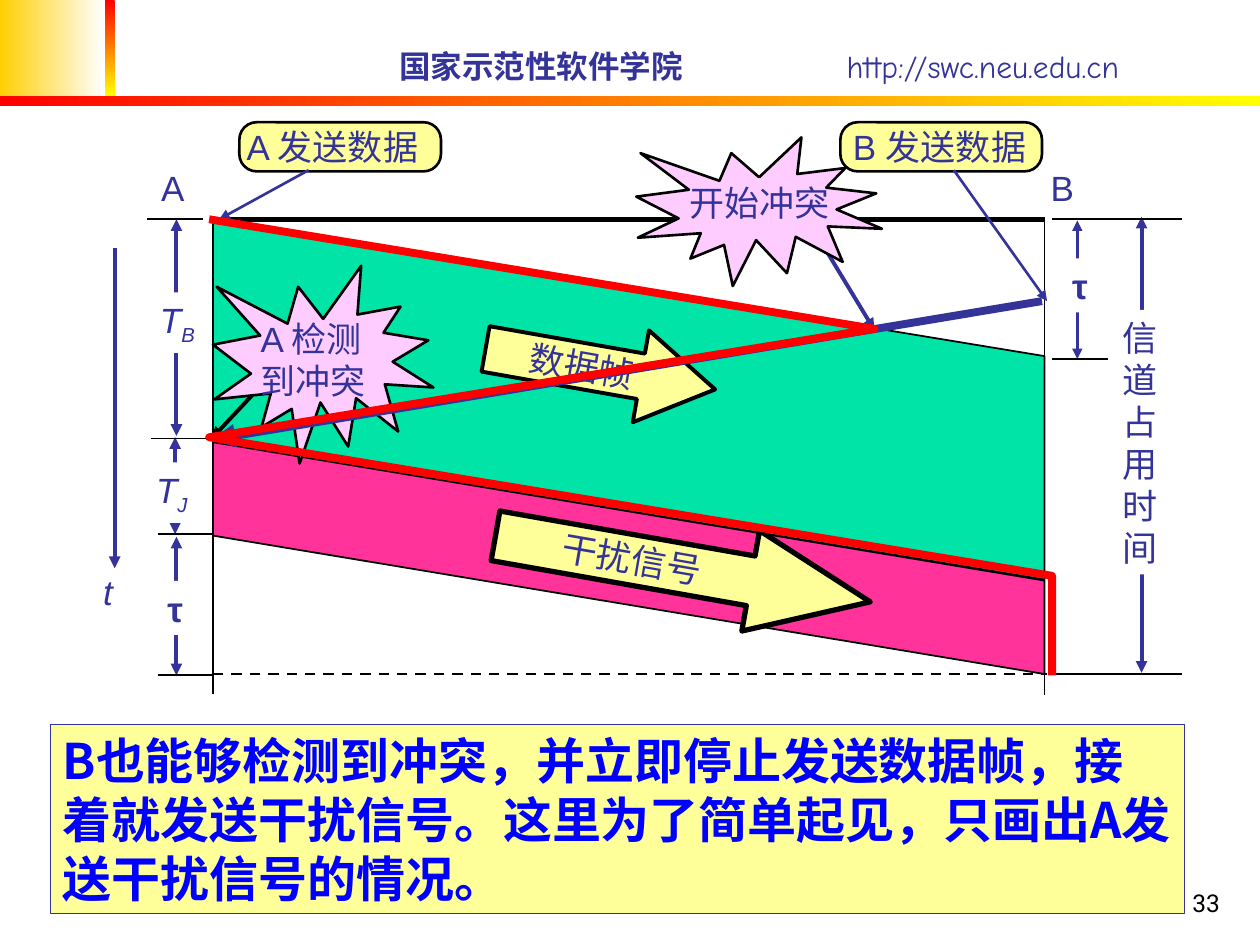
from typing import NamedTuple, Optional

from lxml import etree
from pptx import Presentation
from pptx.dml.color import RGBColor
from pptx.enum.dml import MSO_LINE_DASH_STYLE as Dash
from pptx.enum.shapes import MSO_CONNECTOR as Conn, MSO_SHAPE as Shape
from pptx.enum.text import MSO_ANCHOR as Anchor, MSO_AUTO_SIZE as AutoSize, PP_ALIGN as Align
from pptx.oxml.ns import qn
from pptx.util import Inches, Pt

NAVY, BLACK, WHITE = "333399", "000000", "FFFFFF"
CREAM, PINK, RED, YELLOW = "FFFF99", "FFCCFF", "FF0000", "FFFF00"
LABEL = dict(name="Arial", size=Pt(20))
ITALIC, BOLD = dict(LABEL, italic=True), dict(LABEL, bold=True)


class Box(NamedTuple):
    x: float
    y: float
    w: float
    h: float


class Line(NamedTuple):
    x1: float
    y1: float
    x2: float
    y2: float
    color: str = BLACK
    width: float = 1
    ends: str = ""  # any of "head", "tail"
    dash: bool = False


class Label(NamedTuple):
    box: Box
    text: str
    font: dict = LABEL
    sub: str = ""
    fill: Optional[str] = None


class Callout(NamedTuple):
    kind: Shape
    box: Box
    fill: str
    pointer: Line
    label: Label
    pointer_behind: bool


def rgb(color: str) -> RGBColor:
    return RGBColor.from_string(color)


def emu(box: Box) -> list:
    return [Inches(v) for v in box]


def draw_shape(s, kind, box: Box, fill=None, line=None, width=1.0, adj=(), rot=0):
    sp = s.shapes.add_shape(kind, *emu(box))
    sp.shadow.inherit = False
    sp.rotation = rot
    for i, value in enumerate(adj):
        sp.adjustments[i] = value
    if fill:
        sp.fill.solid()
        sp.fill.fore_color.rgb = rgb(fill)
    if line:
        sp.line.color.rgb = rgb(line)
        sp.line.width = Pt(width)
    else:
        sp.line.fill.background()
    return sp


def draw_gradient(s, box: Box, colors: tuple, angle: int) -> None:
    sp = draw_shape(s, Shape.RECTANGLE, box)
    sp.fill.gradient()
    sp.fill.gradient_angle = angle
    for stop, color, position in zip(sp.fill.gradient_stops, colors, (0, 1)):
        stop.color.rgb = rgb(color)
        stop.position = position


def draw_line(s, line: Line) -> None:
    cx = s.shapes.add_connector(Conn.STRAIGHT, *emu(Box(*line[:4])))
    cx.line.color.rgb = rgb(line.color)
    cx.line.width = Pt(line.width)
    if line.dash:
        cx.line.dash_style = Dash.DASH
    ln = cx.line._get_or_add_ln()
    for end in ("head", "tail"):
        if end in line.ends:
            etree.SubElement(ln, qn(f"a:{end}End"), type="triangle")
    etree.SubElement(cx._element.spPr, qn("a:effectLst"))


def add_run(p, text: str, font: dict, color: str):
    r = p.add_run()
    r.text = text
    for key, value in font.items():
        setattr(r.font, key, value)
    r.font.color.rgb = rgb(color)
    rPr = r._r.get_or_add_rPr()
    etree.SubElement(rPr, qn("a:ea"), typeface="Noto Sans CJK SC")
    return rPr


def write(sp, text: str, font: dict, color=NAVY, sub="", align=Align.LEFT,
          anchor=Anchor.TOP, wrap=False) -> None:
    tf = sp.text_frame
    tf.word_wrap, tf.vertical_anchor = wrap, anchor
    for i, part in enumerate(text.split("\n")):
        p = tf.add_paragraph() if i else tf.paragraphs[0]
        p.alignment = align
        add_run(p, part, font, color)
    if sub:
        add_run(p, sub, font, color).set("baseline", "-25000")


def draw_label(s, label: Label, rot=0, **options) -> None:
    sp = s.shapes.add_textbox(*emu(label.box))
    sp.rotation = rot
    if label.fill:
        sp.fill.solid()
        sp.fill.fore_color.rgb = rgb(label.fill)
    write(sp, label.text, label.font, sub=label.sub, **options)
    sp.text_frame.auto_size = AutoSize.SHAPE_TO_FIT_TEXT


def draw_callout(s, c: Callout) -> None:
    if c.pointer_behind:
        draw_line(s, c.pointer)
    adj = [0.354] if c.kind == Shape.ROUNDED_RECTANGLE else []
    draw_shape(s, c.kind, c.box, c.fill, BLACK, 1.5, adj)
    draw_label(s, c.label)
    if not c.pointer_behind:
        draw_line(s, c.pointer)


def span(x: float, y1: float, y2: float, width=2.25) -> Line:
    return Line(x, y1, x, y2, NAVY, width, "head tail")


def tick(x: float, y: float, length=0.44) -> Line:
    return Line(x, y, x + length, y)


LINES = [
    # Time spans on the left and right
    span(1.4, 4.26, 5.36), span(1.39, 3.47, 4.24), span(1.4, 1.74, 3.46),
    span(8.55, 1.75, 2.85, 1.5), span(9.06, 1.72, 5.34),
    Line(0.91, 1.97, 0.91, 4.51, NAVY, 2.25, "tail"),
    # Boundary ticks
    tick(1.17, 1.74), tick(1.2, 3.48), tick(1.25, 4.24), tick(1.25, 5.36),
    tick(8.35, 2.85), tick(8.35, 1.74, 1.03), tick(8.38, 5.35, 1),
    # Frame around the channel
    Line(1.71, 1.74, 8.29, 1.74, width=3),
    Line(1.69, 1.75, 1.69, 5.51), Line(8.29, 1.74, 8.29, 5.52),
    Line(1.69, 5.35, 8.31, 5.35, width=1.5, dash=True),
]
LABELS = [
    Label(Box(1.23, 4.61, 0.32, 0.43), "τ", BOLD, fill=WHITE),
    Label(Box(8.41, 2.05, 0.32, 0.43), "τ", BOLD, fill=WHITE),
    Label(Box(1.14, 3.67, 0.45, 0.48), "T", ITALIC, "J", WHITE),
    Label(Box(1.17, 2.32, 0.48, 0.48), "T", ITALIC, "B", WHITE),
    Label(Box(0.72, 4.48, 0.27, 0.44), "t", ITALIC),
    Label(Box(1.18, 1.27, 0.38, 0.43), "A"),
    Label(Box(8.24, 1.27, 0.38, 0.43), "B"),
    Label(Box(8.81, 2.46, 0.48, 2.1), "\n".join("信道占用时间"), fill=WHITE),
]
CALLOUTS = [
    Callout(Shape.ROUNDED_RECTANGLE, Box(6.67, 0.97, 1.6, 0.39), CREAM,
            Line(7.57, 1.35, 8.31, 2.39, NAVY, 1.5, "tail"),
            Label(Box(6.67, 0.95, 1.64, 0.44), "B 发送数据"), False),
    Callout(Shape.EXPLOSION1, Box(1.69, 2.11, 1.75, 1.57), PINK,
            Line(2.27, 2.85, 1.68, 3.48, BLACK, 2.25, "tail"),
            Label(Box(1.97, 2.47, 1.08, 0.77), "A 检测\n到冲突"), True),
    Callout(Shape.EXPLOSION1, Box(5.05, 1.09, 1.95, 1.18), PINK,
            Line(6.54, 1.96, 6.94, 2.62, NAVY, 2.25, "tail"),
            Label(Box(5.37, 1.39, 1.31, 0.44), "开始冲突"), True),
    Callout(Shape.ROUNDED_RECTANGLE, Box(1.9, 0.97, 1.6, 0.39), CREAM,
            Line(2.45, 1.35, 1.74, 1.74, NAVY, 1.5, "tail"),
            Label(Box(1.86, 0.95, 1.64, 0.44), "A 发送数据"), False),
]
NOTE = ("B也能够检测到冲突，并立即停止发送数据帧，接着就发送干扰信号。"
        "这里为了简单起见，只画出A发送干扰信号的情况。")
OCCUPIED = [(1.66, 1.74), (6.94, 2.61), (1.66, 3.47), (8.35, 4.57), (8.35, 5.36)]


def main() -> None:
    prs = Presentation()
    prs.slide_width, prs.slide_height = Inches(10), Inches(7.5)
    s = prs.slides.add_slide(prs.slide_layouts[6])

    # Header bands, school name and page number
    draw_gradient(s, Box(0, 0, 0.83, 0.76), ("FFCF01", WHITE), 0)
    draw_gradient(s, Box(0.83, 0, 0.08, 0.76), (RED, YELLOW), 270)
    draw_gradient(s, Box(0, 0.76, 10, 0.08), (RED, YELLOW), 0)
    header = dict(name="Comic Neue", size=Pt(18))
    for x, w, text, bold in ((3.07, 2.6, "国家示范性软件学院", True),
                             (6.62, 3.15, "http://swc.neu.edu.cn", False)):
        draw_label(s, Label(Box(x, 0.32, w, 0.4), text, dict(header, bold=bold)),
                   anchor=Anchor.MIDDLE, wrap=True)
    number = s.shapes.add_textbox(*emu(Box(7.7, 6.83, 2.08, 0.5)))
    write(number, "33", dict(name="Roboto", size=Pt(14)), BLACK,
          align=Align.RIGHT, anchor=Anchor.BOTTOM, wrap=True)

    # Data frame and jamming signal travelling along the channel
    draw_shape(s, Shape.PARALLELOGRAM, Box(3.56, -0.13, 2.86, 6.6), "00E4A8", BLACK,
               adj=[0.38], rot=90)
    data = draw_shape(s, Shape.RIGHT_ARROW, Box(3.84, 2.56, 1.85, 0.74), CREAM, BLACK,
                      2.25, [0.494, 0.808], 10)
    write(data, "数据帧", LABEL, align=Align.CENTER, anchor=Anchor.MIDDLE)
    draw_shape(s, Shape.PARALLELOGRAM, Box(4.07, 1.13, 1.84, 6.6), "FF3399", BLACK,
               adj=[0.597], rot=90)
    draw_shape(s, Shape.RIGHT_ARROW, Box(3.91, 4.11, 3.02, 0.81), CREAM, BLACK,
               3, [0.494, 1.19], 10)
    draw_label(s, Label(Box(4.36, 4.22, 1.31, 0.44), "干扰信号"), rot=9.9)

    # Time axes, labels and callouts
    for line in LINES:
        draw_line(s, line)
    for label in LABELS:
        draw_label(s, label)
    for callout in CALLOUTS:
        draw_callout(s, callout)
    draw_line(s, Line(8.27, 2.39, 1.68, 3.49, NAVY, 4.5, "tail"))

    # Explanation
    note = draw_shape(s, Shape.RECTANGLE, Box(0.4, 5.75, 9, 1.5), CREAM, NAVY, 0.75)
    write(note, NOTE, dict(name="Noto Sans CJK SC", size=Pt(28), bold=True), "0000FF",
          wrap=True)

    # Outline of the occupied time
    start, *rest = [(Inches(x), Inches(y)) for x, y in OCCUPIED]
    builder = s.shapes.build_freeform(*start)
    builder.add_line_segments(rest, close=False)
    outline = builder.convert_to_shape()
    outline.shadow.inherit = False
    outline.fill.background()
    outline.line.color.rgb = rgb(RED)
    outline.line.width = Pt(4.5)

    prs.save("out.pptx")


if __name__ == "__main__":
    main()
